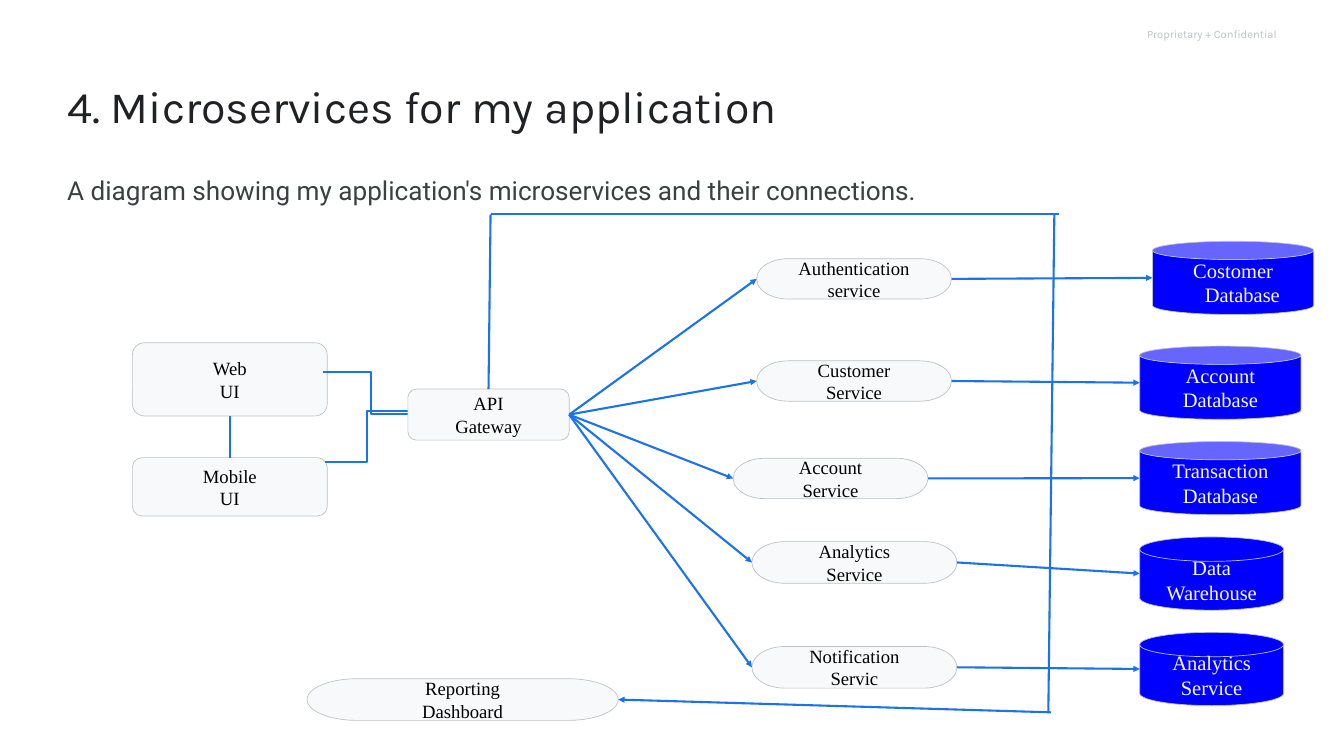
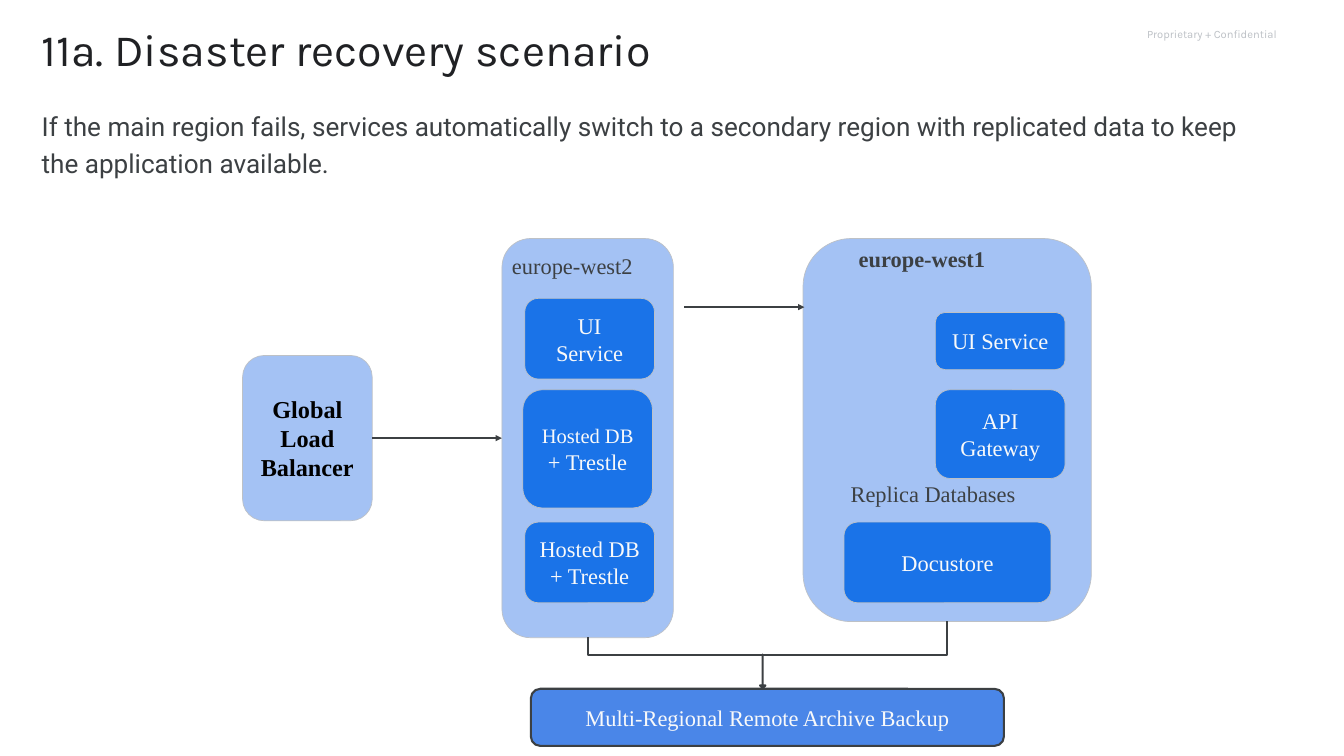
"""Build two slides: an application's microservices and its disaster recovery scenario."""
from lxml import etree
from pptx import Presentation
from pptx.dml.color import RGBColor
from pptx.enum.shapes import MSO_CONNECTOR, MSO_SHAPE
from pptx.enum.text import MSO_ANCHOR, PP_ALIGN
from pptx.oxml.ns import qn
from pptx.util import Inches, Pt

ROUNDED = MSO_SHAPE.ROUNDED_RECTANGLE
TERMINATOR = MSO_SHAPE.FLOWCHART_TERMINATOR
CAN = MSO_SHAPE.CAN
DISK = MSO_SHAPE.FLOWCHART_MAGNETIC_DISK
DOWN_ARROW = MSO_SHAPE.DOWN_ARROW
STRAIGHT, ELBOW = MSO_CONNECTOR.STRAIGHT, MSO_CONNECTOR.ELBOW
LEFT, CENTER, RIGHT = PP_ALIGN.LEFT, PP_ALIGN.CENTER, PP_ALIGN.RIGHT
TOP_ANCHOR, MIDDLE = MSO_ANCHOR.TOP, MSO_ANCHOR.MIDDLE
TOP_SIDE, LEFT_SIDE, BOTTOM_SIDE, RIGHT_SIDE = range(4)
RUN_BREAK = "|"


class Theme:
    ink, body, gray = "202124", "3C4043", "BDC1C6"
    pale, black, blue = "F8F9FA", "000000", "1A73E8"
    database, region, backup = "0000FF", "A4C2F4", "4A86E8"
    serif = "Times New Roman"
    small_label = Pt(22)
    thin, thick = Pt(0.75), Pt(2.25)
    no_margin = {"margin_left": 0, "margin_top": 0, "margin_right": 0, "margin_bottom": 0}
    margin = dict.fromkeys(no_margin, Inches(0.1))
    top_frame = {"vertical_anchor": TOP_ANCHOR, **no_margin}
    box_frame = {"vertical_anchor": MIDDLE, **margin}
    label_frame = {"vertical_anchor": TOP_ANCHOR, **margin}
    centered = {"alignment": CENTER}


STYLES = {
    "footer": {"color": Theme.gray, "font": {"name": "Karla", "size": Pt(12)},
               "frame": {"vertical_anchor": MIDDLE, **Theme.no_margin},
               "paragraph": {"alignment": RIGHT}},
    "title": {"color": Theme.ink, "font": {"name": "Karla", "size": Pt(48)},
              "frame": {**Theme.top_frame, "margin_right": Inches(0.2)},
              "paragraph": {"line_spacing": 1.2}},
    "body": {"color": Theme.body, "font": {"name": "Roboto", "size": Pt(28)},
             "frame": Theme.top_frame, "paragraph": {"line_spacing": 1.15}},
    "component": {"fill": Theme.pale, "color": Theme.black,
                  "font": {"name": Theme.serif, "size": Pt(20)}},
    "database": {"fill": Theme.database, "color": Theme.pale,
                 "font": {"name": Theme.serif, "size": Theme.small_label}},
    "region": {"fill": Theme.region, "color": Theme.black,
               "font": {"name": Theme.serif, "size": Pt(26), "bold": True}},
    "service": {"fill": Theme.blue, "color": Theme.pale,
                "font": {"name": Theme.serif, "size": Pt(24)}},
    "backup": {"fill": Theme.backup, "line": Theme.body, "width": Theme.thick,
               "color": Theme.pale, "font": {"name": Theme.serif, "size": Pt(24)}},
    "arrow": {"fill": Theme.pale, "line": Theme.body, "width": Theme.thick},
    "label": {"color": Theme.body, "font": {"name": Theme.serif, "size": Pt(24)},
              "frame": Theme.label_frame, "paragraph": {"alignment": LEFT}},
}


def add_box(slide, kind, position, style_name, *lines):
    style = STYLES[style_name]
    lengths = [Inches(value) for value in position]
    if kind is None:
        shape = slide.shapes.add_textbox(*lengths)
    else:
        shape = slide.shapes.add_shape(kind, *lengths)
        shape.shadow.inherit = False
        shape.fill.solid()
        shape.fill.fore_color.rgb = RGBColor.from_string(style["fill"])
        shape.line.color.rgb = RGBColor.from_string(style.get("line", Theme.gray))
        shape.line.width = style.get("width", Theme.thin)
    frame = shape.text_frame
    frame.word_wrap = True
    for name, value in style.get("frame", Theme.box_frame).items():
        setattr(frame, name, value)
    for index, line in enumerate(lines):
        paragraph = frame.add_paragraph() if index else frame.paragraphs[0]
        for name, value in style.get("paragraph", Theme.centered).items():
            setattr(paragraph, name, value)
        for text in line.split(RUN_BREAK):
            run = paragraph.add_run()
            run.text = text
            run.font.color.rgb = RGBColor.from_string(style["color"])
            for name, value in style["font"].items():
                setattr(run.font, name, value)
    return shape


def add_line(slide, start, end, color, kind=STRAIGHT, head=True, bend=None, width=Theme.thick):
    joined = [not isinstance(place[0], (int, float)) for place in (start, end)]
    points = [(0, 0) if join else place for join, place in zip(joined, (start, end))]
    connector = slide.shapes.add_connector(kind, *[Inches(value) for point in points for value in point])
    if joined[0]:
        connector.begin_connect(*start)
    if joined[1]:
        connector.end_connect(*end)
    connector.line.color.rgb = RGBColor.from_string(color)
    connector.line.width = width
    properties = connector._element.spPr
    if head:
        etree.SubElement(properties.find(qn("a:ln")), qn("a:tailEnd"), type="triangle")
    if bend is not None:
        guides = properties.find(qn("a:prstGeom")).get_or_add_avLst()
        etree.SubElement(guides, qn("a:gd"), name="adj1", fmla=f"val {round(bend * 100000)}")
    etree.SubElement(properties, qn("a:effectLst"))
    return connector


presentation = Presentation()
presentation.slide_width, presentation.slide_height = Inches(20), Inches(11.25)

HEADINGS = [
    ((1, 1.01, 12.12, 1.24), "4. Microservices for my application",
     (1, 2.53, 17.87, 0.6), "A diagram showing my application's microservices and their connections."),
    ((0.62, 0.16, 11.94, 1.2), "11a. Disaster recovery scenario",
     (0.62, 1.58, 17.81, 1.32), "If the main region fails, services automatically switch to a secondary "
     "region with replicated data to keep the application available."),
]
for title_position, title, body_position, body in HEADINGS:
    slide = presentation.slides.add_slide(presentation.slide_layouts[6])
    add_box(slide, None, (14.79, 0, 4.21, 1.01), "footer", "Proprietary + Confidential")
    add_box(slide, None, title_position, "title", title)
    add_box(slide, None, body_position, "body", body)
microservices, recovery = presentation.slides

web = add_box(microservices, ROUNDED, (1.97, 5.1, 2.9, 1.09), "component", "Web", "UI")
mobile = add_box(microservices, ROUNDED, (1.97, 6.81, 2.9, 0.87), "component", "Mobile", "UI")
add_line(microservices, (web, BOTTOM_SIDE), (mobile, TOP_SIDE), Theme.blue, head=False, width=Pt(1.5))
for start, end, bend in [((4.8, 5.54), (6.11, 6.16), 0.55), ((4.84, 6.88), (6.07, 6.12), 0.5)]:
    add_line(microservices, start, end, Theme.blue, ELBOW, False, bend)
gateway = add_box(microservices, ROUNDED, (6.07, 5.79, 2.4, 0.76), "component", "API", "Gateway")

SERVICES = [
    ((11.26, 3.85, 2.9, 0.6), ("Authentication", "service")),
    ((11.26, 5.37, 2.9, 0.6), ("Customer", "Service")),
    ((10.91, 6.82, 2.9, 0.6), ("Account", "Service")),
    ((11.19, 8.06, 3.05, 0.62), ("Analytics", "Service")),
    ((11.19, 9.62, 3.05, 0.62), ("Notification", "Servic")),
]
DATABASES = [
    (CAN, 17.15, 2.4, ("Costomer", "Database")),
    (CAN, 16.96, 2.4, ("Account", "Database")),
    (CAN, 16.96, 2.4, ("Transaction", "Database")),
    (DISK, 16.96, 2.14, ("Data", "Warehouse")),
    (DISK, 16.96, 2.14, ("Analytics", "Service")),
]
DATABASE_HEIGHT, DATABASE_STEP = 1.09, 1.42
stores = []
for row, ((position, service_name), (kind, left, width, store_name)) in enumerate(zip(SERVICES, DATABASES)):
    top = 5.15 + (row - 1) * DATABASE_STEP if row else 3.59
    service = add_box(microservices, TERMINATOR, position, "component", *service_name)
    stores.append(add_box(microservices, kind, (left, top, width, DATABASE_HEIGHT), "database", *store_name))
    add_line(microservices, (gateway, RIGHT_SIDE), (service, LEFT_SIDE), Theme.blue)
    add_line(microservices, (service, RIGHT_SIDE), (left, top + DATABASE_HEIGHT / 2), Theme.blue)
indented = stores[0].text_frame.paragraphs[1]
indented.alignment = LEFT
indented._p.get_or_add_pPr().set("marL", str(Inches(0.68)))

dashboard = add_box(microservices, TERMINATOR, (4.57, 10.1, 4.63, 0.62), "component", "Reporting", "Dashboard")
REPORTING_ROUTE = [
    ((gateway, TOP_SIDE), (7.3, 3.19), False),
    ((7.3, 3.19), (15.76, 3.19), False),
    ((15.69, 3.18), (15.6, 10.6), False),
    ((15.64, 10.6), (dashboard, RIGHT_SIDE), True),
]
for start, end, head in REPORTING_ROUTE:
    add_line(microservices, start, end, Theme.blue, head=head)

balancer = add_box(recovery, ROUNDED, (3.61, 5.29, 1.93, 2.46), "region", "Global Load Balancer")
primary = add_box(recovery, ROUNDED, (7.47, 3.55, 2.55, 5.94), "region")
add_box(recovery, ROUNDED, (11.95, 3.55, 4.29, 5.7), "region")
add_box(recovery, ROUNDED, (7.9, 10.25, 7.04, 0.85), "backup", "Multi-Regional Remote Archive Backup")
add_line(recovery, (balancer, RIGHT_SIDE), (primary, LEFT_SIDE), Theme.body)
add_line(recovery, (10.18, 4.57), (11.97, 4.57), Theme.body)
backup_link = add_line(recovery, (11.3, 6.69), (11.54, 12.04), Theme.body, ELBOW, False, -1.09)
backup_link._element.spPr.find(qn("a:xfrm")).set("rot", str(270 * 60000))
backup_arrow = add_box(recovery, DOWN_ARROW, (11.31, 9.74, 0.08, 0.5), "arrow")
backup_arrow.adjustments[0] = 0

REGION_SERVICES = [
    ((7.81, 4.44, 1.93, 1.2), ("UI", "Service")),
    ((7.78, 5.8, 1.93, 1.76), ("Hosted DB |+ Trestle",)),
    ((7.81, 7.77, 1.93, 1.2), ("Hosted DB + Trestle",)),
    ((13.92, 4.65, 1.93, 0.85), ("UI Service",)),
    ((13.92, 5.8, 1.93, 1.32), ("API Gateway",)),
    ((12.56, 7.77, 3.08, 1.2), ("Docustore",)),
]
for position, lines in REGION_SERVICES:
    service = add_box(recovery, ROUNDED, position, "service", *lines)
    runs = service.text_frame.paragraphs[0].runs
    if len(runs) > 1:
        runs[0].font.size = Theme.small_label

REGION_LABELS = [
    ((7.52, 3.65, 2.45, 0.61), "europe-west2", False),
    ((12.68, 3.55, 2.83, 0.61), "europe-west1", True),
    ((12.56, 7.04, 6.86, 0.61), "Replica Databases", False),
]
for position, text, bold in REGION_LABELS:
    label = add_box(recovery, None, position, "label", text)
    label.text_frame.paragraphs[0].runs[0].font.bold = bold

presentation.save("out.pptx")
